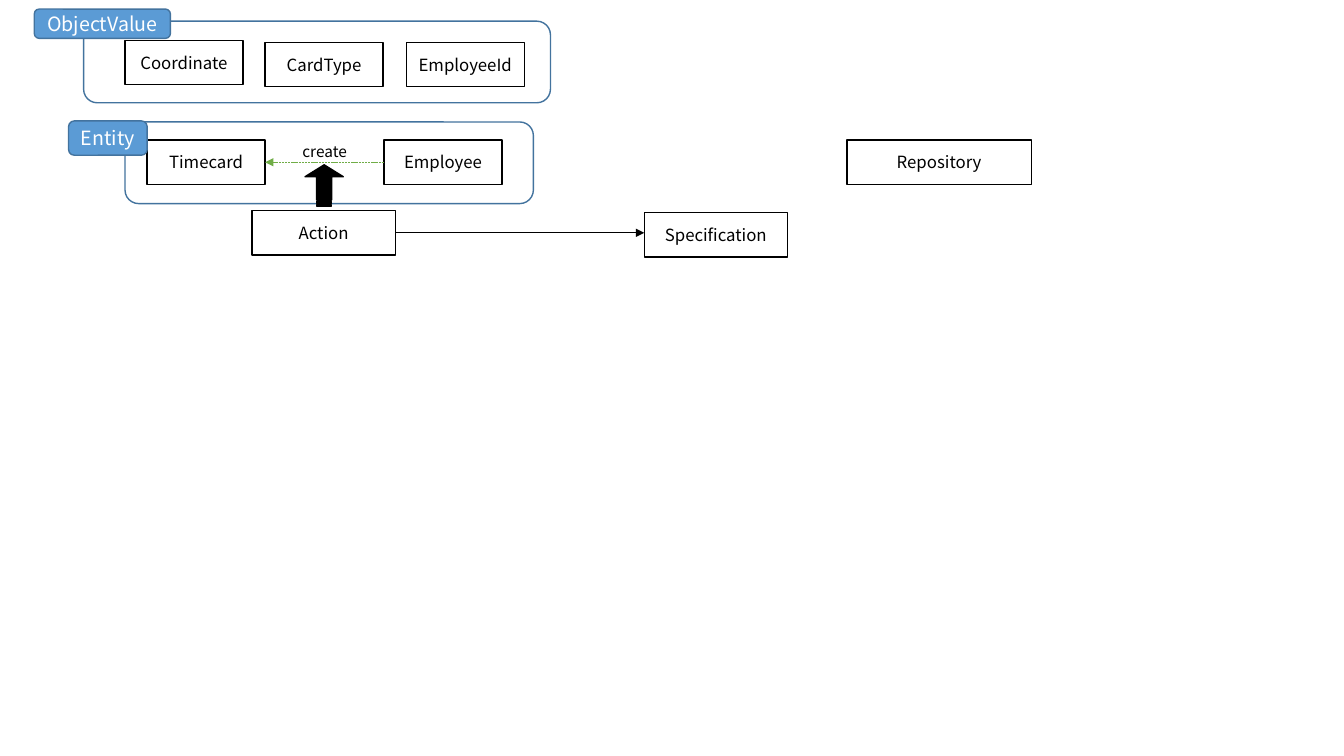
from dataclasses import dataclass

import pptx
import pptx.dml.color
import pptx.enum.dml
import pptx.enum.shapes
import pptx.enum.text
import pptx.oxml.ns
import pptx.util
from lxml import etree
from pptx.shapes.autoshape import Shape
from pptx.shapes.connector import Connector
from pptx.slide import Slide

PX = 9144
FONT = "Noto Sans CJK JP"
COLORS = {
    "black": "000000",
    "white": "FFFFFF",
    "blue": "5B9BD5",
    "outline": "43739E",
    "green": "70AD47",
}
PRESET = pptx.enum.shapes.MSO_SHAPE
TOP, LEFT, BOTTOM, RIGHT = range(4)


@dataclass(frozen=True)
class Style:
    preset: PRESET
    fill: str | None
    line: str
    text: str = "black"
    size: int = 12


@dataclass(frozen=True)
class Node:
    style: Style
    left: int
    top: int
    width: int
    height: int
    text: str = ""


BOX = Style(PRESET.RECTANGLE, "white", "black")
GROUP = Style(PRESET.ROUNDED_RECTANGLE, None, "outline")
BADGE = Style(PRESET.ROUNDED_RECTANGLE, "blue", "outline", "white", 14)
ARROW = Style(PRESET.STRIPED_RIGHT_ARROW, "black", "black")

TIMECARD = Node(BOX, 146, 139, 117, 44, "Timecard")
EMPLOYEE = Node(BOX, 381, 139, 117, 44, "Employee")
ACTION = Node(BOX, 250, 209, 142, 44, "Action")
NODES = [
    TIMECARD,
    EMPLOYEE,
    Node(BOX, 403, 42, 117, 44, "EmployeeId"),
    Node(BOX, 124, 40, 117, 44, "Coordinate"),
    Node(BOX, 263, 42, 117, 44, "CardType"),
    Node(GROUP, 124, 121, 405, 81),
    Node(GROUP, 83, 21, 463, 81),
    Node(BADGE, 68, 120, 78, 34, "Entity"),
    Node(BADGE, 34, 9, 135, 29, "ObjectValue"),
    Node(BOX, 840, 139, 183, 44, "Repository"),
    Node(BOX, 639, 211, 142, 44, "Specification"),
    ACTION,
]
CREATE_ARROW = Node(ARROW, 301, 165, 41, 38)


def px(value: int) -> pptx.util.Emu:
    return pptx.util.Emu(value * PX)


def rgb(name: str) -> pptx.dml.color.RGBColor:
    return pptx.dml.color.RGBColor.from_string(COLORS[name])


def write_text(shape: Shape, text: str, size: int, color: str) -> None:
    paragraph = shape.text_frame.paragraphs[0]
    paragraph.text = text
    paragraph.font.name = FONT
    paragraph.font.size = pptx.util.Pt(size)
    paragraph.font.color.rgb = rgb(color)


def draw_node(slide: Slide, node: Node) -> Shape:
    style = node.style
    shape = slide.shapes.add_shape(
        style.preset, px(node.left), px(node.top), px(node.width), px(node.height)
    )
    shape.shadow.inherit = False
    if style.fill is None:
        shape.fill.background()
    else:
        shape.fill.solid()
        shape.fill.fore_color.rgb = rgb(style.fill)
    shape.line.color.rgb = rgb(style.line)
    shape.line.width = pptx.util.Pt(1)
    if node.text:
        write_text(shape, node.text, style.size, style.text)
        shape.text_frame.vertical_anchor = pptx.enum.text.MSO_ANCHOR.MIDDLE
        shape.text_frame.paragraphs[0].alignment = pptx.enum.text.PP_ALIGN.CENTER
    return shape


def draw_arrow(
    slide: Slide, start: tuple[int, int], end: tuple[int, int], color: str
) -> Connector:
    connector = slide.shapes.add_connector(
        pptx.enum.shapes.MSO_CONNECTOR.STRAIGHT,
        px(start[0]), px(start[1]), px(end[0]), px(end[1]),
    )
    connector.line.color.rgb = rgb(color)
    connector.line.width = pptx.util.Pt(0.5)
    qn = pptx.oxml.ns.qn
    properties = connector.element.find(qn("p:spPr"))
    etree.SubElement(properties, qn("a:effectLst"))
    etree.SubElement(properties.find(qn("a:ln")), qn("a:tailEnd"), type="triangle")
    return connector


def draw_caption(slide: Slide) -> None:
    caption = slide.shapes.add_textbox(px(290), px(136), px(65), px(29))
    caption.text_frame.word_wrap = False
    caption.text_frame.auto_size = pptx.enum.text.MSO_AUTO_SIZE.SHAPE_TO_FIT_TEXT
    write_text(caption, "create", 11, "black")


def main() -> None:
    presentation = pptx.Presentation()
    presentation.slide_width = px(1333)
    presentation.slide_height = px(750)
    slide = presentation.slides.add_slide(presentation.slide_layouts[6])
    shapes = {node: draw_node(slide, node) for node in NODES}

    create = draw_arrow(slide, (381, 161), (263, 161), "green")
    create.line.dash_style = pptx.enum.dml.MSO_LINE.SQUARE_DOT
    create.begin_connect(shapes[EMPLOYEE], LEFT)
    create.end_connect(shapes[TIMECARD], RIGHT)
    draw_caption(slide)

    check = draw_arrow(slide, (392, 231), (639, 231), "black")
    check.begin_connect(shapes[ACTION], RIGHT)

    block_arrow = draw_node(slide, CREATE_ARROW)
    block_arrow.rotation = 270
    block_arrow.adjustments[0] = 0.39
    block_arrow.adjustments[1] = 0.31

    presentation.save("out.pptx")


if __name__ == "__main__":
    main()
